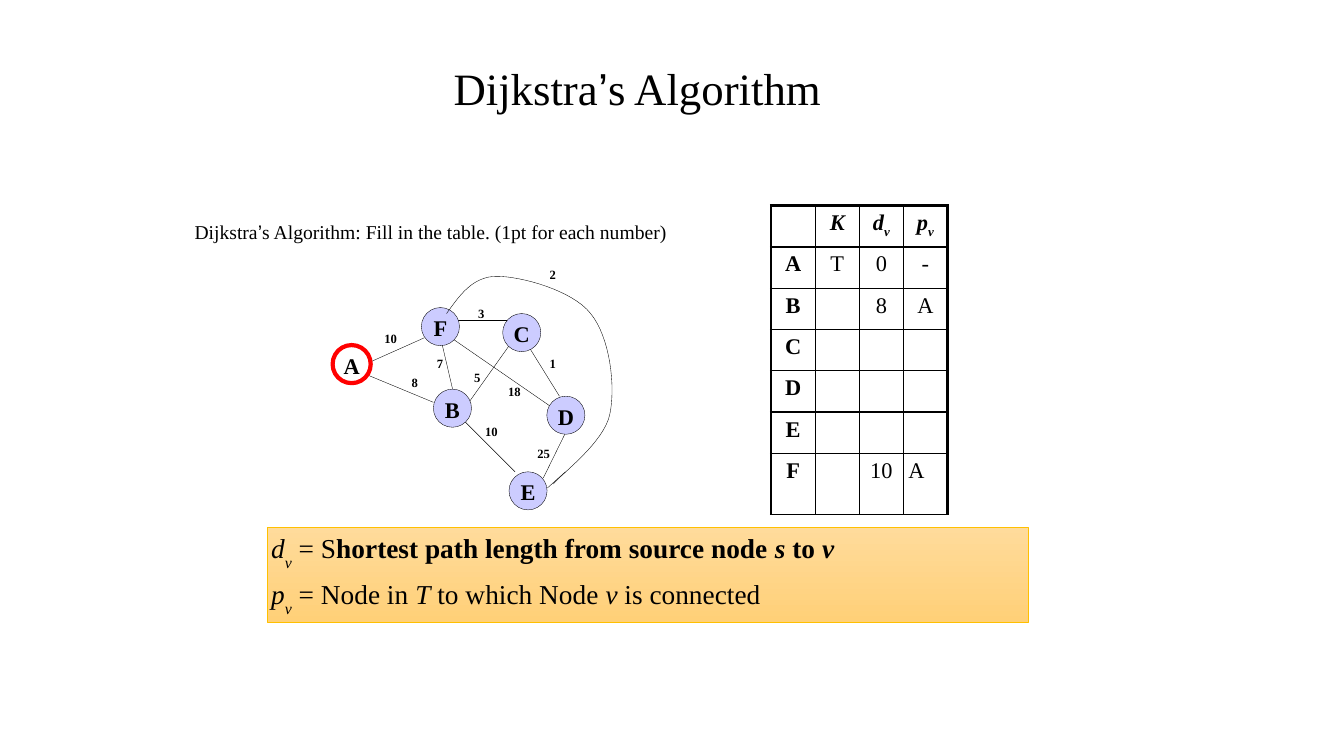
from lxml import etree
from pptx import Presentation
from pptx.dml.color import RGBColor
from pptx.enum.shapes import MSO_CONNECTOR, MSO_SHAPE
from pptx.enum.text import MSO_ANCHOR, PP_ALIGN
from pptx.oxml.ns import qn
from pptx.util import Pt

LEFT, CENTER = PP_ALIGN.LEFT, PP_ALIGN.CENTER
TOP, MIDDLE = MSO_ANCHOR.TOP, MSO_ANCHOR.MIDDLE
STRAIGHT = MSO_CONNECTOR.STRAIGHT
OVAL, RECTANGLE = MSO_SHAPE.OVAL, MSO_SHAPE.RECTANGLE

COLORS = {"ink": "000000", "node": "CCCCFF", "source": "FFFFFF", "ring": "FF0000",
          "gold_top": "FFDB9B", "gold_bottom": "FFD078", "gold_line": "FFC000"}
SERIF, SANS = "Times New Roman", "Arial"
HAIRLINE = 0.25

NODE_SIZE = 27.2
NODES = {"A": (0, 58.5), "B": (72, 90), "F": (63.4, 31.7),
         "E": (126, 149), "D": (153, 95), "C": (121.5, 36)}
EDGES = [
    (172.8, 108, 150.5, 153.4), (76.3, 49.7, 85.7, 90), (94.3, 103.7, 126, 59),
    (157.7, 103.7, 85.7, 54), (18, 77, 72, 99.4), (88.6, 41, 124.6, 41),
    (139.7, 59, 162, 95), (94.3, 113, 130.3, 149), (25.2, 71.3, 65.5, 53.3),
    (166.3, 149, 153.4, 160.6),
]
WEIGHTS = [
    ("25", 136.8, 127.4), ("10", 99.4, 111.6), ("18", 115.9, 83.5), ("1", 148.3, 63.4),
    ("5", 94.3, 73.4), ("3", 97.2, 27.4), ("7", 67.7, 63.4), ("8", 49.7, 77),
    ("10", 27.4, 45.4), ("2", 148.3, 0),
]
LOOP_START = (81.4, 36)
LOOP_CURVES = [
    ((90.7, 23), (100, 9.4), (117.4, 9.4)),
    ((134.6, 9.4), (171.4, 19.4), (184.3, 36)),
    ((198, 52.6), (202.3, 87.8), (198, 108)),
    ((193.7, 128.2), (164.2, 149.8), (157.7, 157.7)),
]
# Each span is its text and its style letters: b bold, i italic, s subscript, a sans
HEADER = [[], [("K", "bi")], [("d", "bi"), ("v", "bis")], [("p", "bi"), ("v", "bis")]]
STEPS = ["AT0-", ["B", "", "8", "A"], "C", "D", "E", ["F", "", "10", "A"]]
LEGEND = [
    [("d", "i"), ("v", "is"), (" = S", ""), ("hortest path length from source node ", "b"),
     ("s ", "bi"), ("to ", "b"), ("v", "bi")],
    [("p", "i"), ("v", "is"), (" = Node in ", ""), ("T", "i"), (" to which Node ", ""),
     ("v", "i"), (" is connected", "")],
]


def rgb(name):
    return RGBColor.from_string(COLORS[name])


def write(frame, paras, size, align=LEFT, anchor=TOP, inset=2.9, wrap=True, gap=0, drop=-25):
    """Fill a text frame with paragraphs, each a list of (text, style) spans."""
    frame.word_wrap = wrap
    frame.vertical_anchor = anchor
    frame.margin_left = frame.margin_right = Pt(inset)
    frame.margin_top = frame.margin_bottom = Pt(inset)
    for number, spans in enumerate(paras):
        para = frame.add_paragraph() if number else frame.paragraphs[0]
        para.alignment = align
        para.space_before = Pt(gap if number else 0)
        for text, style in spans:
            span = para.add_run()
            span.text = text
            font = span.font
            font.size, font.name = Pt(size), SANS if "a" in style else SERIF
            font.bold, font.italic = "b" in style, "i" in style
            font.color.rgb = rgb("ink")
            if "s" in style:
                font._element.set("baseline", str(drop * 1000))


def add_text(page, box, paras, size, **style):
    shape = page.shapes.add_textbox(*map(Pt, box))
    write(shape.text_frame, paras, size, **style)


def add_line(page, x1, y1, x2, y2):
    line = page.shapes.add_connector(STRAIGHT, Pt(x1), Pt(y1), Pt(x2), Pt(y2))
    line.line.color.rgb = rgb("ink")
    line.line.width = Pt(HAIRLINE)
    etree.SubElement(line._element.spPr, qn("a:effectLst"))


def add_loop(page, left, top, steps=16):
    """Draw the long curved edge from F round to E."""
    points, start = [], LOOP_START
    for first, second, end in LOOP_CURVES:
        for step in range(1, steps + 1):
            t = step / steps
            x, y = ((1 - t) ** 3 * a + 3 * (1 - t) ** 2 * t * b + 3 * (1 - t) * t ** 2 * c + t ** 3 * d
                    for a, b, c, d in zip(start, first, second, end))
            points.append((Pt(left + x), Pt(top + y)))
        start = end
    builder = page.shapes.build_freeform(Pt(left + LOOP_START[0]), Pt(top + LOOP_START[1]))
    builder.add_line_segments(points, close=False)
    loop = builder.convert_to_shape()
    loop.shadow.inherit = False
    loop.fill.background()
    loop.line.color.rgb = rgb("ink")
    loop.line.width = Pt(HAIRLINE)


def add_node(page, name, x, y):
    is_source = name == "A"
    node = page.shapes.add_shape(OVAL, Pt(x), Pt(y), Pt(NODE_SIZE), Pt(NODE_SIZE))
    node.shadow.inherit = False
    node.fill.solid()
    node.fill.fore_color.rgb = rgb("source" if is_source else "node")
    node.line.color.rgb = rgb("ring" if is_source else "ink")
    node.line.width = Pt(3 if is_source else HAIRLINE)
    write(node.text_frame, [[(name, "b")]], 16, align=CENTER, anchor=MIDDLE, inset=0, wrap=False)
    node.text_frame.margin_top = Pt(1.5)


def add_graph(page, left, top):
    for x1, y1, x2, y2 in EDGES:
        add_line(page, left + x1, top + y1, left + x2, top + y2)
    for name, (x, y) in NODES.items():
        add_node(page, name, left + x, top + y)
    add_loop(page, left, top)
    for weight, x, y in WEIGHTS:
        width = 18 if len(weight) == 1 else 28
        add_text(page, (left + x, top + y, width, 15), [[(weight, "b")]], 9, align=CENTER)


def set_border(cell, side, width):
    border = etree.SubElement(cell._tc.get_or_add_tcPr(), qn("a:ln" + side), w=str(Pt(width)))
    fill = etree.SubElement(border, qn("a:solidFill"))
    etree.SubElement(fill, qn("a:srgbClr"), val=COLORS["ink"])


def add_steps(page, left, top, column=31.5, row=29.5, last_row=43.5):
    """Add the table of known flag, distance and previous node."""
    rows = [HEADER]
    for step in STEPS:
        values = list(step) + [""] * (4 - len(step))
        rows.append([[(text, "" if index else "b")] if text else []
                     for index, text in enumerate(values)])
    height = row * (len(rows) - 1) + last_row
    table = page.shapes.add_table(len(rows), 4, Pt(left), Pt(top), Pt(column * 4), Pt(height)).table
    table.first_row = table.horz_banding = False
    for each in table.columns:
        each.width = Pt(column)
    for r, spans_in_row in enumerate(rows):
        is_last = r == len(rows) - 1
        table.rows[r].height = Pt(last_row if is_last else row)
        for c, spans in enumerate(spans_in_row):
            cell = table.cell(r, c)
            widths = {"L": 1 if c else 2.25, "R": 2.25 if c == 3 else 1,
                      "T": 1 if r else 2.25, "B": 1}
            for side, width in widths.items():
                set_border(cell, side, width)
            cell.fill.background()
            write(cell.text_frame, [spans], 16, inset=3.6,
                  align=LEFT if is_last and c == 3 else CENTER)
            cell.margin_left = cell.margin_right = cell.margin_top = cell.margin_bottom = Pt(3.6)
            cell.vertical_anchor = TOP
            if not spans:
                cell.text_frame.paragraphs[0].font.size = Pt(16)


def add_legend(page, box):
    panel = page.shapes.add_shape(RECTANGLE, *map(Pt, box))
    panel.shadow.inherit = False
    panel.fill.gradient()
    panel.fill.gradient_angle = 270
    for stop, name in zip(panel.fill.gradient_stops, ("gold_top", "gold_bottom")):
        stop.color.rgb = rgb(name)
    panel.line.color.rgb = rgb("gold_line")
    panel.line.width = Pt(HAIRLINE)
    write(panel.text_frame, LEGEND, 19.5, gap=4, drop=-37)


def add_title(page, box):
    title = page.shapes.title
    title.left, title.top, title.width, title.height = map(Pt, box)
    write(title.text_frame, [[("Dijkstra", ""), ("’", "a"), ("s Algorithm", "")]], 32,
          align=CENTER, wrap=False)


def main():
    deck = Presentation()
    deck.slide_width, deck.slide_height = Pt(960), Pt(540)
    page = deck.slides.add_slide(deck.slide_layouts[5])
    add_title(page, (321, 40.3, 268.5, 42))
    add_steps(page, 550.8, 146.9)
    add_legend(page, (190.8, 376.6, 543.6, 67.7))
    add_graph(page, 237.6, 188)
    question = [("Dijkstra", ""), ("’", "a"),
                ("s Algorithm: Fill in the table. (1pt for each number)", "")]
    add_text(page, (136.1, 154.1, 426, 21), [question], 14)
    deck.save("out.pptx")


if __name__ == "__main__":
    main()
